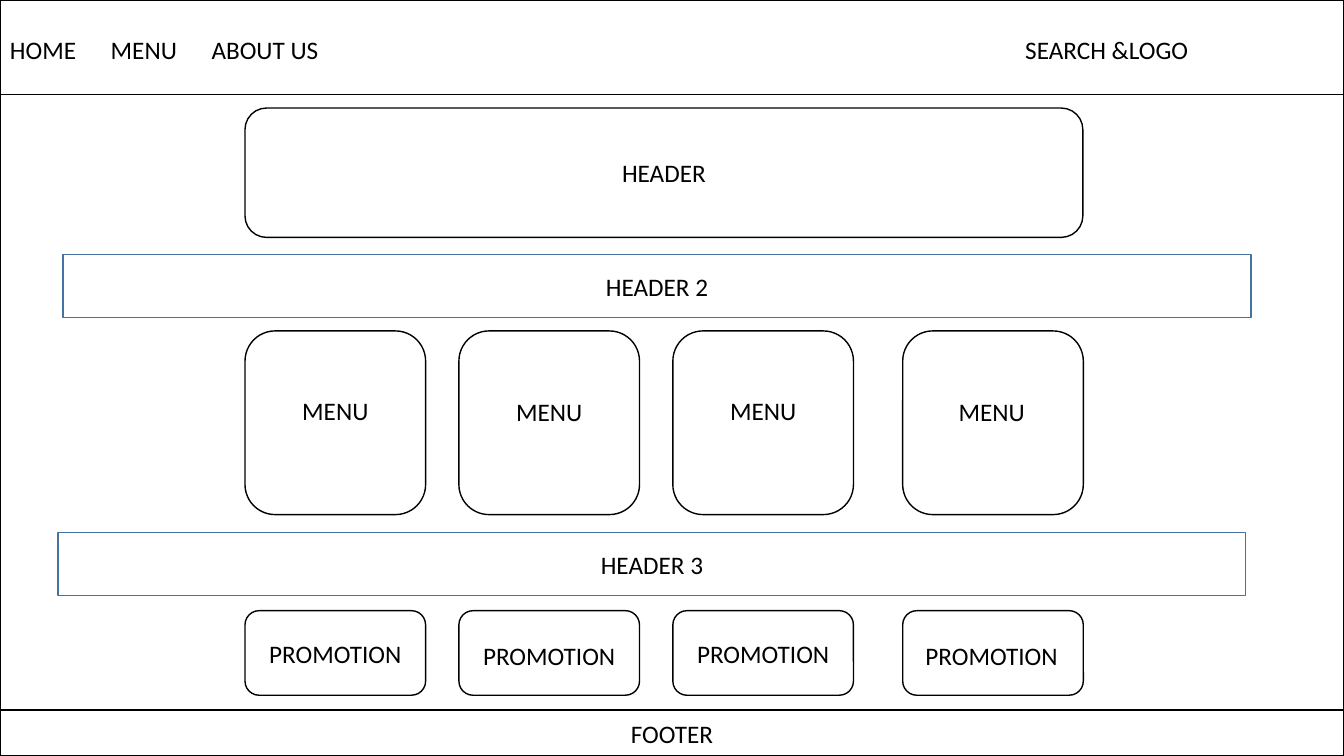
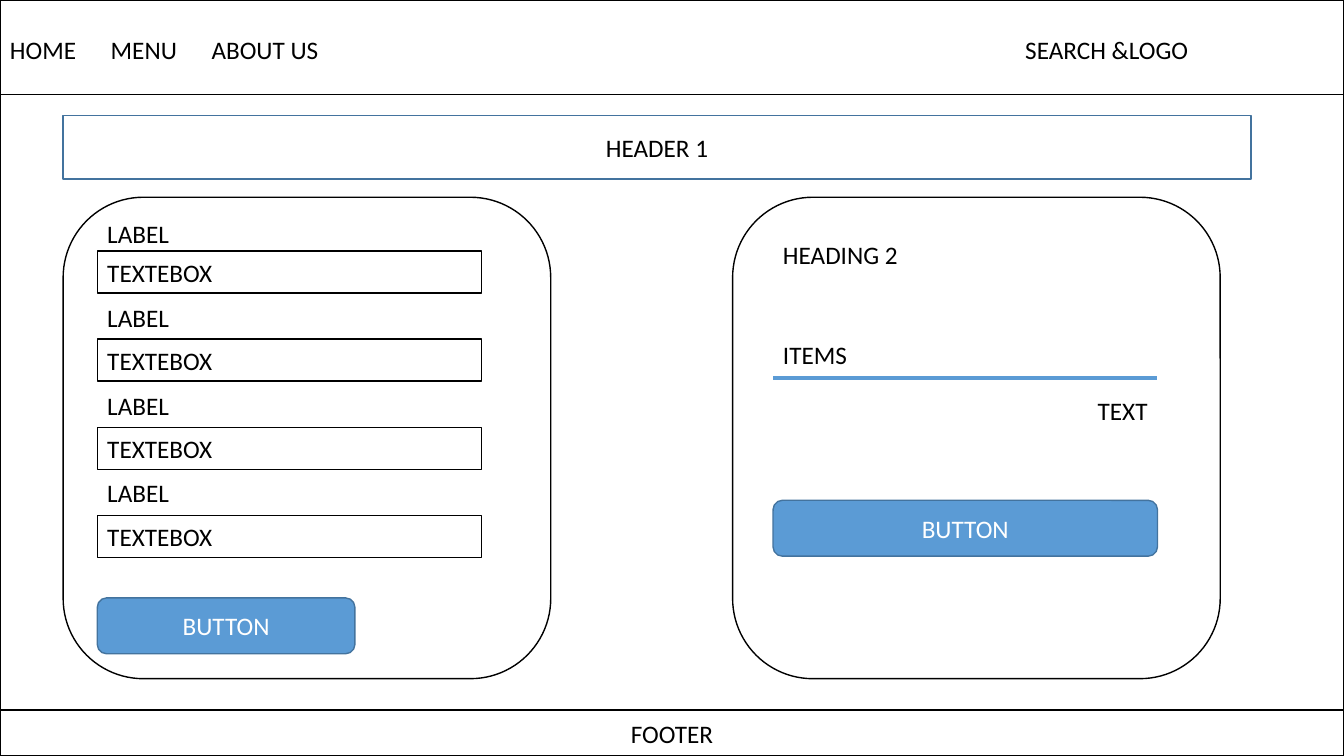
"""Build two website wireframes: a home page and an order form."""
from dataclasses import dataclass

from lxml.etree import SubElement
from pptx import Presentation
from pptx.dml.color import RGBColor
from pptx.enum.shapes import MSO_CONNECTOR, MSO_SHAPE
from pptx.enum.text import MSO_ANCHOR, MSO_AUTO_SIZE, PP_ALIGN
from pptx.oxml.ns import qn
from pptx.util import Pt


@dataclass(frozen=True)
class Theme:
    ink: RGBColor = RGBColor(0x00, 0x00, 0x00)
    paper: RGBColor = RGBColor(0xFF, 0xFF, 0xFF)
    accent: RGBColor = RGBColor(0x5B, 0x9B, 0xD5)
    edge: RGBColor = RGBColor(0x43, 0x73, 0x9E)
    font: str = "Calibri"
    size: float = 18
    outline: float = 1
    rule: float = 2.25


WIDTH, HEIGHT = 960, 540
BAR_H = 67.7
FOOTER_Y = 507.1
BANNER_X = 45.1


class Wireframe:
    def __init__(self, theme):
        self.theme = theme
        self.prs = Presentation()
        self.prs.slide_width, self.prs.slide_height = Pt(WIDTH), Pt(HEIGHT)
        self.s = None

    def page(self):
        self.s = self.prs.slides.add_slide(self.prs.slide_layouts[6])
        self.box(0, 0, WIDTH, HEIGHT)
        self.box(0, 0, WIDTH, BAR_H)
        self.label(0, 15.1, WIDTH, "HOME\tMENU\tABOUT US", h=41, anchor=MSO_ANCHOR.MIDDLE)
        self.label(621, 15.1, 339, "SEARCH &LOGO", PP_ALIGN.CENTER, 41, MSO_ANCHOR.MIDDLE)
        self.box(0, FOOTER_Y, WIDTH, HEIGHT - FOOTER_Y, "FOOTER")

    def set_text(self, sp, text, align, anchor, color=None):
        tf = sp.text_frame
        tf.word_wrap = True
        tf.vertical_anchor = anchor
        tf.text = text
        p = tf.paragraphs[0]
        p.alignment = align
        for r in p.runs:
            r.font.name = self.theme.font
            r.font.size = Pt(self.theme.size)
            r.font.color.rgb = color or self.theme.ink

    def box(self, x, y, w, h, text="", kind=MSO_SHAPE.RECTANGLE, line=None,
            fill=None, color=None, align=PP_ALIGN.CENTER):
        sp = self.s.shapes.add_shape(kind, Pt(x), Pt(y), Pt(w), Pt(h))
        sp.shadow.inherit = False
        if fill:
            sp.fill.solid()
            sp.fill.fore_color.rgb = fill
        else:
            sp.fill.background()
        sp.line.color.rgb = line or self.theme.ink
        sp.line.width = Pt(self.theme.outline)
        if text:
            self.set_text(sp, text, align, MSO_ANCHOR.MIDDLE, color)

    def card(self, x, y, w, h):
        self.box(x, y, w, h, kind=MSO_SHAPE.ROUNDED_RECTANGLE)

    def banner(self, y, text, x=BANNER_X):
        self.box(x, y, 848.4, 45.3, text, line=self.theme.edge)

    def button(self, x, y, w):
        self.box(x, y, w, 39.9, "BUTTON", MSO_SHAPE.ROUNDED_RECTANGLE,
                 self.theme.edge, self.theme.accent, self.theme.paper)

    def label(self, x, y, w, text, align=PP_ALIGN.LEFT, h=29.1, anchor=MSO_ANCHOR.TOP):
        sp = self.s.shapes.add_textbox(Pt(x), Pt(y), Pt(w), Pt(h))
        self.set_text(sp, text, align, anchor)
        if anchor == MSO_ANCHOR.TOP:
            sp.text_frame.auto_size = MSO_AUTO_SIZE.SHAPE_TO_FIT_TEXT

    def rule(self, x, y, w):
        sp = self.s.shapes.add_connector(MSO_CONNECTOR.STRAIGHT, Pt(x), Pt(y), Pt(x + w), Pt(y))
        sp.line.color.rgb = self.theme.accent
        sp.line.width = Pt(self.theme.rule)
        SubElement(sp._element.spPr, qn("a:effectLst"))


def home_page(wf):
    wf.page()
    wf.box(175, 77.2, 598.5, 92.4, "HEADER", MSO_SHAPE.ROUNDED_RECTANGLE)
    wf.banner(181.7, "HEADER 2")
    wf.banner(380.3, "HEADER 3", 41.5)
    card_w = 129
    columns = ((175, 0, 0), (327.8, 0, 1), (480.6, 0, 0), (644.8, -1, 1))
    rows = (("MENU", 236.4, 131.2, 278.5), ("PROMOTION", 436.2, 60.4, 452.5))
    for text, y, h, text_y in rows:
        for x, dx, dy in columns:
            wf.card(x, y, card_w, h)
            wf.label(x + dx, text_y + dy, card_w, text, PP_ALIGN.CENTER)


def form_page(wf):
    wf.page()
    wf.banner(82.6, "HEADER 1")
    for x in (BANNER_X, 523.3):
        wf.card(x, 140.9, 348.3, 343.9)

    field_x, field_w, label_w = 69.5, 274.6, 144.7
    for i, label_y in enumerate((152.6, 212.6, 275.2, 337.7)):
        wf.label(field_x, label_y, label_w, "LABEL")
        wf.box(field_x, 179.4 + 62.9 * i, field_w, 30, "TEXTEBOX", align=PP_ALIGN.LEFT)
    wf.button(field_x, 427.1, 184)

    items_x = 552.2
    wf.label(items_x, 167.2, label_w, "HEADING 2")
    wf.label(items_x, 239, label_w, "ITEMS")
    wf.rule(items_x, 270, field_w)
    wf.label(items_x + field_w - label_w, 278.9, label_w, "TEXT", PP_ALIGN.RIGHT)
    wf.button(items_x, 357.4, field_w)


def main():
    wf = Wireframe(Theme())
    home_page(wf)
    form_page(wf)
    wf.prs.save("out.pptx")


if __name__ == "__main__":
    main()
